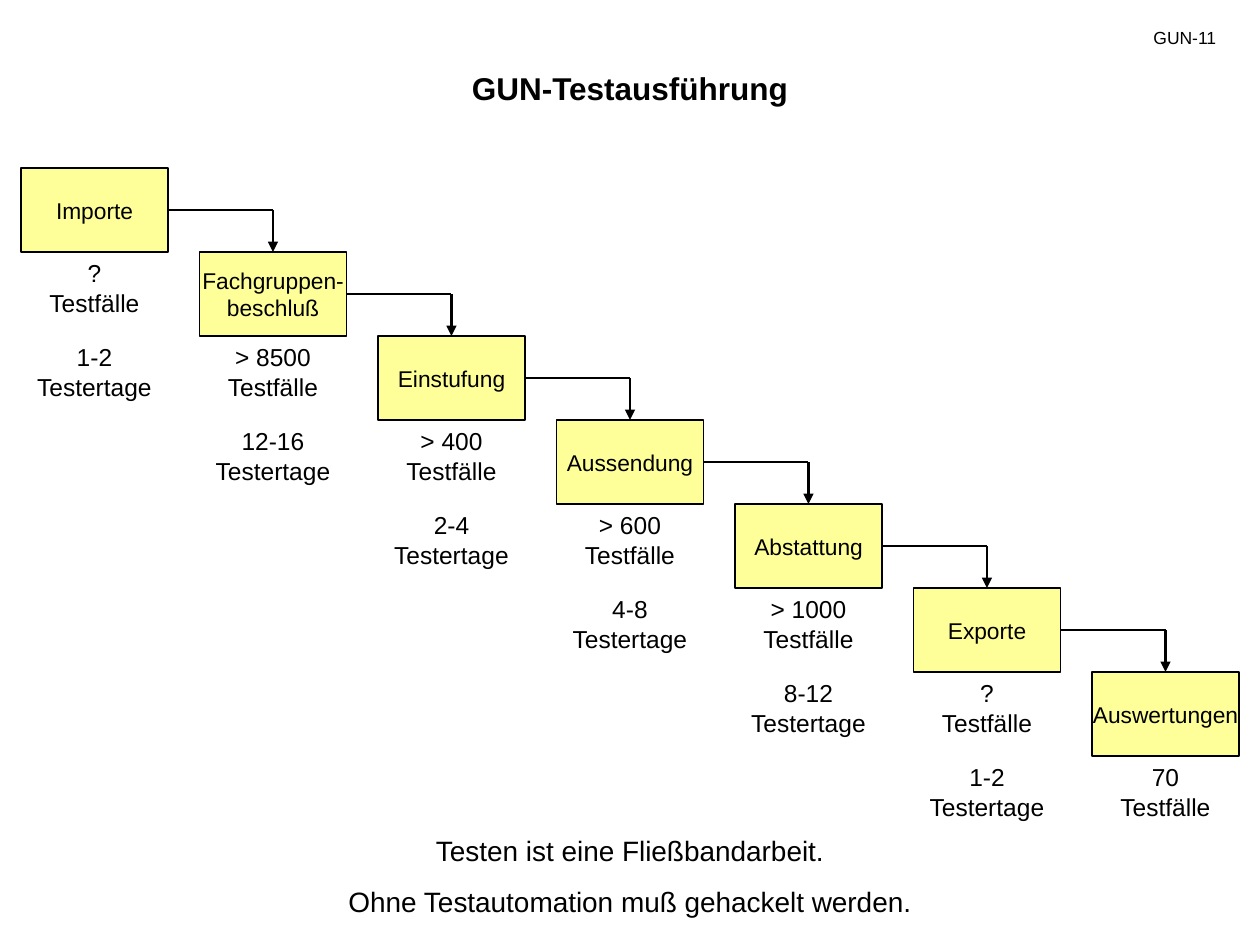
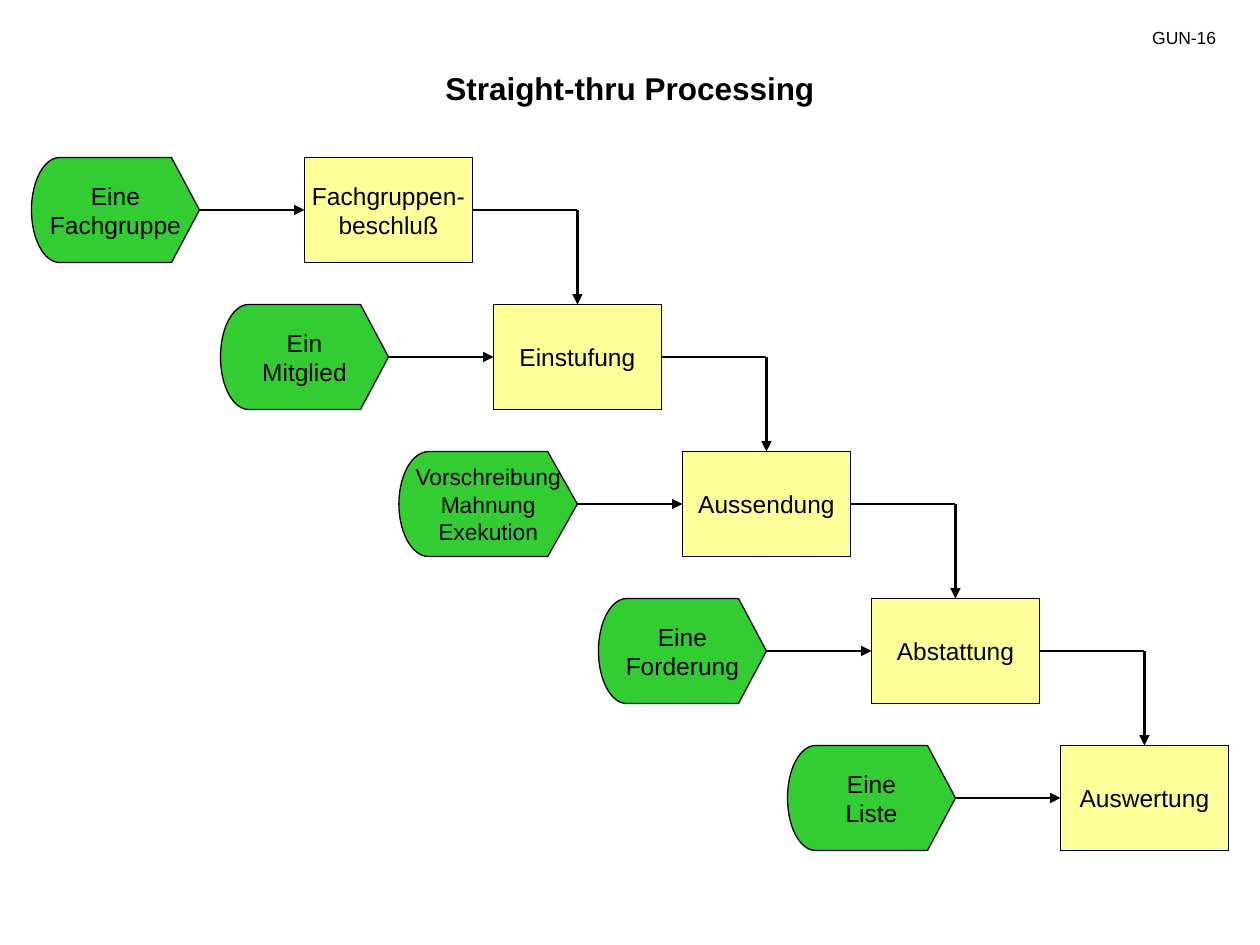
from lxml import etree
from pptx import Presentation
from pptx.dml.color import RGBColor
from pptx.enum.shapes import MSO_CONNECTOR, MSO_SHAPE
from pptx.enum.text import MSO_ANCHOR, MSO_AUTO_SIZE, PP_ALIGN
from pptx.oxml.ns import qn
from pptx.util import Cm, Pt

BOX = MSO_SHAPE.RECTANGLE
DISPLAY = MSO_SHAPE.FLOWCHART_DISPLAY
STRAIGHT = MSO_CONNECTOR.STRAIGHT
MIDDLE, TOP = MSO_ANCHOR.MIDDLE, MSO_ANCHOR.TOP
FIT = MSO_AUTO_SIZE.SHAPE_TO_FIT_TEXT
CENTER, RIGHT = PP_ALIGN.CENTER, PP_ALIGN.RIGHT

FONT = "Arial"
BLACK, YELLOW, GREEN = "000000", "FFFF99", "33CC33"
GRID = 2.54 / 12  # all positions below count grid steps of this many cm
color = RGBColor.from_string


def add_label(slide, left, top, width, height, text, size, kind=None, fill=None,
              align=CENTER, bold=False, gap=0):
    """Place text in a filled shape, or in a plain text box if no kind is given."""
    area = [Cm(n * GRID) for n in (left, top, width, height)]
    if kind is None:
        label = slide.shapes.add_textbox(*area)
    else:
        label = slide.shapes.add_shape(kind, *area)
        label.shadow.inherit = False
        label.fill.solid()
        label.fill.fore_color.rgb = color(fill)
        label.line.color.rgb = color(BLACK)
        label.line.width = Pt(0.75)
    frame = label.text_frame
    frame.text = text
    frame.word_wrap = kind is None
    frame.vertical_anchor = TOP if kind is None else MIDDLE
    if kind is None:
        frame.auto_size = FIT
    for number, paragraph in enumerate(frame.paragraphs):
        paragraph.alignment = align
        if number and gap:
            paragraph.space_before = Pt(gap)
        for run in paragraph.runs:
            run.font.name = FONT
            run.font.size = Pt(size)
            run.font.bold = bold
            run.font.color.rgb = color(BLACK)
    return label


def add_line(slide, x1, y1, x2, y2, arrow=False):
    line = slide.shapes.add_connector(STRAIGHT, *[Cm(n * GRID) for n in (x1, y1, x2, y2)])
    line.line.color.rgb = color(BLACK)
    line.line.width = Pt(1.5)
    properties = line.element.spPr
    if arrow:
        etree.SubElement(properties.find(qn("a:ln")), qn("a:tailEnd"), type="triangle")
    etree.SubElement(properties, qn("a:effectLst"))


prs = Presentation()
prs.slide_width, prs.slide_height = Cm(25.4), Cm(19.05)

# Shared title and page tag
slides = []
for title, tag in [("GUN-Testausführung", "GUN-11"), ("Straight-thru Processing", "GUN-16")]:
    slide = prs.slides.add_slide(prs.slide_layouts[6])
    add_label(slide, 24, 6, 72, 4.8, title, 18, bold=True)
    add_label(slide, 107, 2, 10, 3.2, tag, 10, align=RIGHT)
    slides.append(slide)
test_run, processing = slides

# Test steps with number of test cases and tester days
test_steps = [
    ("Importe", "?", "1-2"),
    ("Fachgruppen-\nbeschluß", "> 8500", "12-16"),
    ("Einstufung", "> 400", "2-4"),
    ("Aussendung", "> 600", "4-8"),
    ("Abstattung", "> 1000", "8-12"),
    ("Exporte", "?", "1-2"),
    ("Auswertungen", "70", None),
]
width, height = 14, 8
for i, (step, cases, days) in enumerate(test_steps):
    left, top = 2 + 17 * i, 16 + height * i
    right, middle, bottom = left + width, top + height / 2, top + height
    add_label(test_run, left, top, width, height, step, 13, BOX, YELLOW)
    add_label(test_run, left, bottom, width, 6.8, f"{cases}\vTestfälle", 14)
    if days:
        add_label(test_run, left, bottom + height, width, 6.8, f"{days}\vTestertage", 14)
    if i < len(test_steps) - 1:
        add_line(test_run, right, middle, right + 10, middle)
        add_line(test_run, right + 10, middle, right + 10, bottom, arrow=True)

# Conclusion
add_label(test_run, 25, 78.8, 70, 9.2,
          "Testen ist eine Fließbandarbeit.\nOhne Testautomation muß gehackelt werden.",
          16, gap=10)

# Processing steps, each fed by one input: text, width, font size
process_steps = [
    ("Fachgruppen-\nbeschluß", "Eine\nFachgruppe", 16, 14),
    ("Einstufung", "Ein\nMitglied", 16, 14),
    ("Aussendung", "Vorschreibung\nMahnung\nExekution", 17, 13),
    ("Abstattung", "Eine\nForderung", 16, 14),
    ("Auswertung", "Eine\nListe", 16, 14),
]
width, height, pitch = 16, 10, 14
for i, (step, source, source_width, source_size) in enumerate(process_steps):
    left, top = 29 + 18 * i, 15 + pitch * i
    right, middle = left + width, top + height / 2
    source_right = left - 10
    add_label(processing, left, top, width, height, step, 14, BOX, YELLOW)
    display = add_label(processing, source_right - source_width, top, source_width, height,
                        source, source_size, DISPLAY, GREEN)
    display.element.spPr.find(qn("a:xfrm")).set("flipH", "1")
    add_line(processing, source_right, middle, left, middle, arrow=True)
    if i < len(process_steps) - 1:
        add_line(processing, right, middle, right + 10, middle)
        add_line(processing, right + 10, middle, right + 10, top + pitch, arrow=True)

prs.save("out.pptx")
